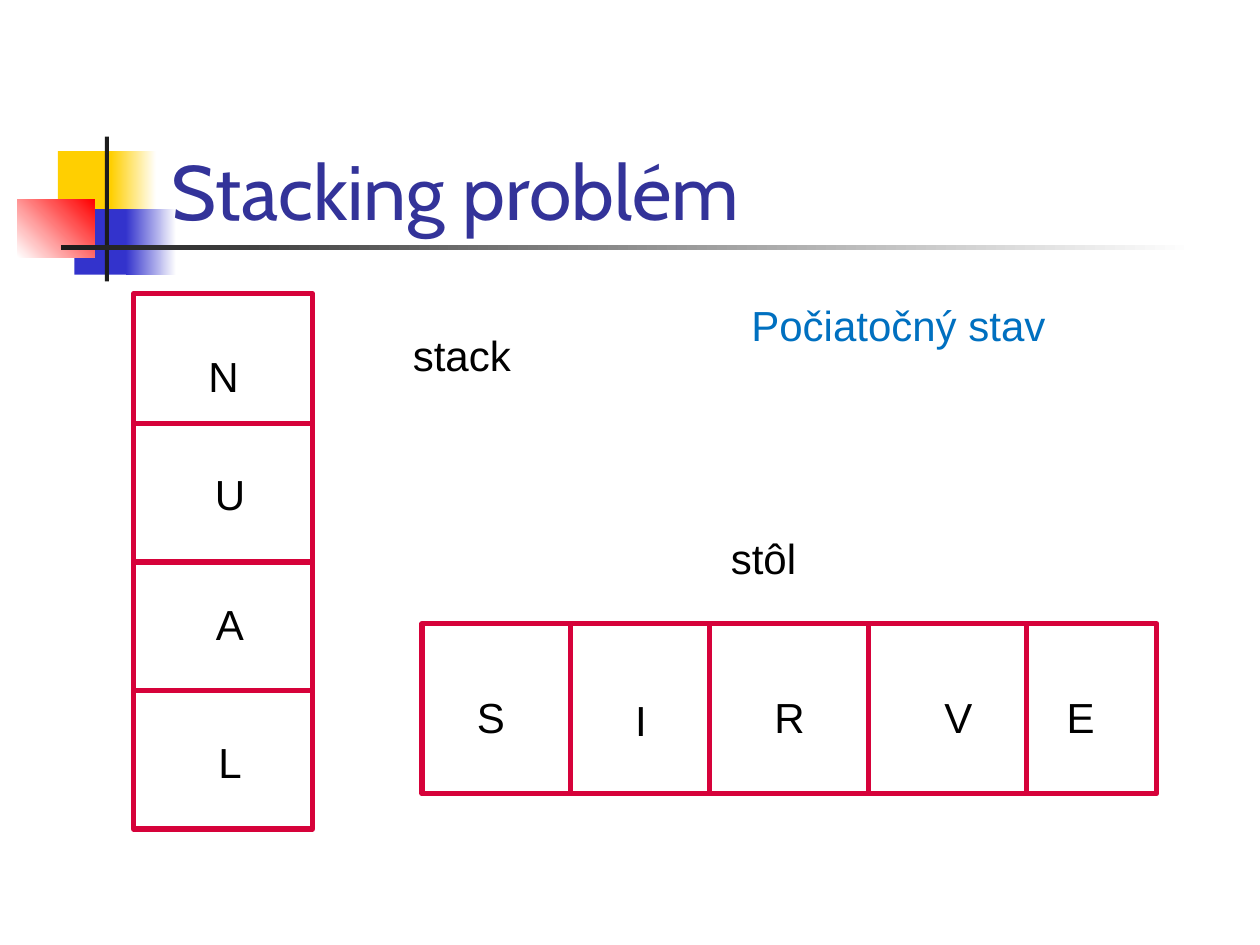
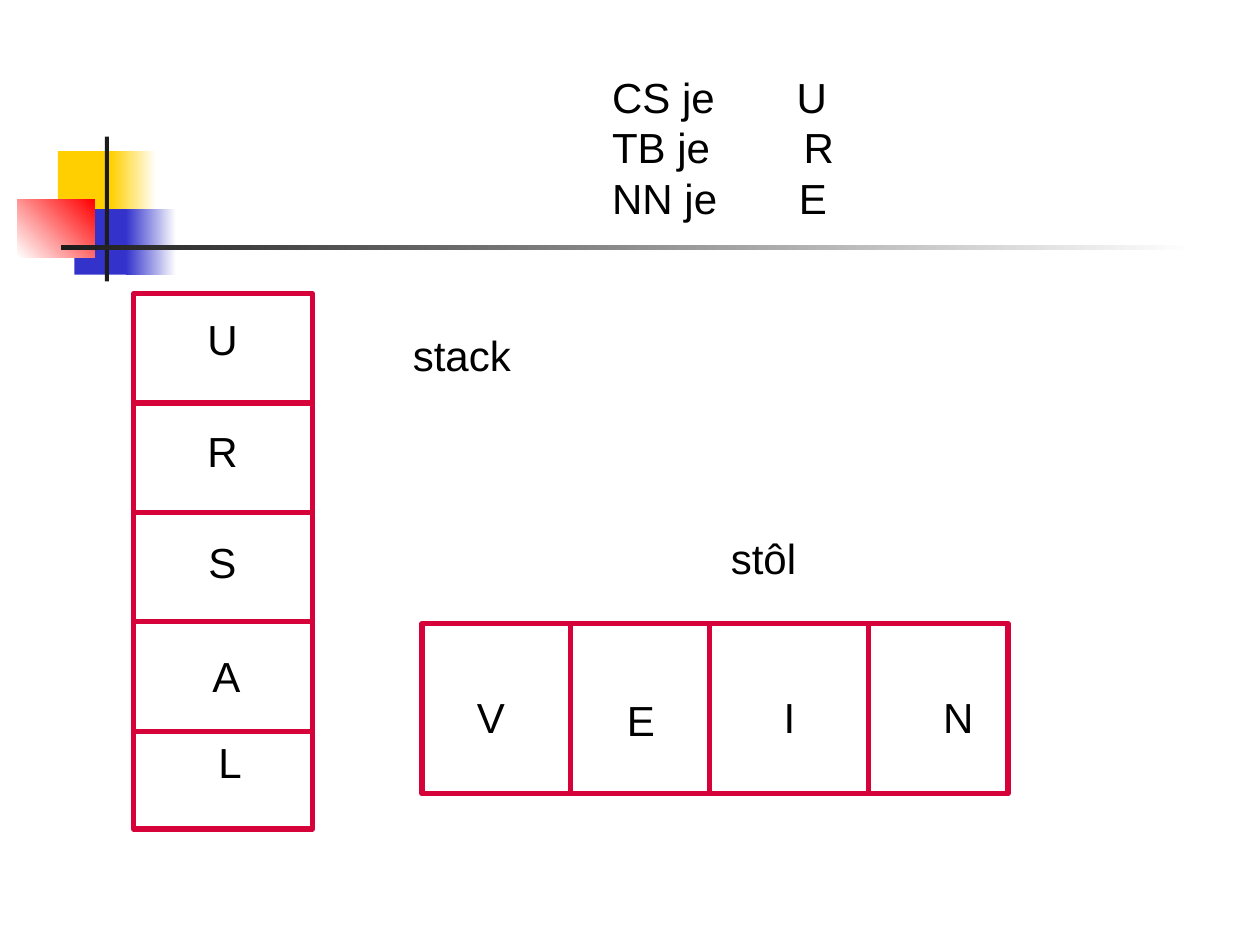
from lxml import etree
from pptx import Presentation
from pptx.dml.color import RGBColor
from pptx.enum.shapes import MSO_CONNECTOR as Connector, MSO_SHAPE as Preset
from pptx.enum.text import MSO_ANCHOR as Anchor, MSO_AUTO_SIZE as AutoSize, PP_ALIGN as Align
from pptx.oxml.ns import qn
from pptx.util import Pt

COLORS = {
    "yellow": "FFCF01", "blue": "3333CC", "red": "FF0000", "dark": "1C1C1C",
    "white": "FFFFFF", "title": "333399", "frame": "D6023A",
    "text": "000000", "note": "0070C0",
}
BODY = {"name": "Arial", "size": Pt(24)}
TITLE = {"name": "Cabin", "size": Pt(44)}
LABEL_SIZE = (57, 36)
FRAME_WIDTH = 3

# Boxes are left, top, width, height in points
TITLE_BOX = (90.7, 48.2, 613.4, 90)
STACK_BOX = (76.3, 167.8, 102.2, 306)
STACK_LABEL_BOX = (201.6, 185, 124.6, 36)
TABLE_LABEL_BOX = (342.7, 301, 187.2, 36)
STATE_BOX = (365.8, 167.8, 295.2, 36)
SUMMARY_BOX = (342.7, 37.4, 329, 93.6)
TABLE_LEFT, TABLE_TOP, TABLE_HEIGHT = 241.2, 356.4, 97.2
TABLE_DIVIDERS = (85, 164.2, 254.9, 345.6)
TABLE_LABELS = ((10.8, 35.3), (96.5, 36.7), (181.4, 35.3), (277.9, 35.3), (347.8, 35.3))

# Band parts: box, first colour, second colour of a gradient, angle
BAND_PARTS = (
    ((33.1, 86.4, 34.6, 37.4), "yellow", None, 0),
    ((63.4, 86.4, 25.9, 37.4), "yellow", "white", 0),
    ((42.5, 119.5, 33.1, 37.4), "blue", None, 0),
    ((72, 119.5, 28.8, 37.4), "blue", "white", 0),
    ((10, 113.8, 44, 33.1), "white", "red", 45),
    ((59.9, 78, 2.4, 82.8), "dark", None, 0),
    ((34.6, 140.2, 648, 2.6), "dark", "white", 0),
)


def color(name):
    return RGBColor.from_string(COLORS[name])


def points(values):
    return [Pt(value) for value in values]


def style(font, formats, color_name):
    for name, value in formats.items():
        setattr(font, name, value)
    font.color.rgb = color(color_name)


def add_rectangle(slide, box):
    shape = slide.shapes.add_shape(Preset.RECTANGLE, *points(box))
    shape.shadow.inherit = False
    return shape


def add_band(slide):
    """Coloured squares and rules beside the title."""
    for box, first, second, angle in BAND_PARTS:
        shape = add_rectangle(slide, box)
        shape.line.fill.background()
        if second is None:
            shape.fill.solid()
            shape.fill.fore_color.rgb = color(first)
            continue
        shape.fill.gradient()
        shape.fill.gradient_angle = angle
        for stop, name in zip(shape.fill.gradient_stops, (first, second)):
            stop.color.rgb = color(name)


def add_title(slide, text):
    title = slide.shapes.title
    slide.shapes.element.append(title.element)  # in front of the band
    title.left, title.top, title.width, title.height = points(TITLE_BOX)
    frame = title.text_frame
    frame.text = text
    frame.auto_size = AutoSize.NONE
    frame.vertical_anchor = Anchor.BOTTOM
    paragraph = frame.paragraphs[0]
    paragraph.alignment = Align.LEFT
    style(paragraph.font, TITLE, "title")


def add_label(slide, box, text, color_name="text", alignment=Align.CENTER):
    frame = slide.shapes.add_textbox(*points(box)).text_frame
    frame.word_wrap = True
    frame.auto_size = AutoSize.SHAPE_TO_FIT_TEXT
    frame.text = text
    for paragraph in frame.paragraphs:
        paragraph.alignment = alignment
        style(paragraph.font, BODY, color_name)
    return frame


def add_divider(slide, start, end):
    line = slide.shapes.add_connector(Connector.STRAIGHT, *points(start + end))
    line.line.color.rgb = color("frame")
    line.line.width = Pt(FRAME_WIDTH)
    etree.SubElement(line.element.spPr, qn("a:effectLst"))


def add_blocks(slide, box, dividers, letters, offsets, vertical):
    """A framed row or column of letter blocks, placed from the box's corner."""
    left, top, width, height = box
    frame = add_rectangle(slide, box)
    frame.fill.background()
    frame.line.color.rgb = color("frame")
    frame.line.width = Pt(FRAME_WIDTH)
    for distance in dividers:
        if vertical:
            add_divider(slide, (left, top + distance), (left + width, top + distance))
        else:
            add_divider(slide, (left + distance, top), (left + distance, top + height))
    for letter, (across, down) in zip(letters, offsets):
        add_label(slide, (left + across, top + down, *LABEL_SIZE), letter)


def add_stack(slide, letters, dividers, offsets):
    add_blocks(slide, STACK_BOX, dividers, letters, offsets, vertical=True)
    add_label(slide, STACK_LABEL_BOX, "stack")


def add_table_row(slide, letters, width):
    box = (TABLE_LEFT, TABLE_TOP, width, TABLE_HEIGHT)
    dividers = TABLE_DIVIDERS[:len(letters) - 1]
    add_blocks(slide, box, dividers, letters, TABLE_LABELS, vertical=False)
    add_label(slide, TABLE_LABEL_BOX, "stôl")


def add_summary(slide, rows):
    """Names and values, each value set at its own tab stop."""
    text = "\n".join(f"{name}\t{value}" for name, value, _ in rows)
    frame = add_label(slide, SUMMARY_BOX, text, alignment=Align.LEFT)
    for paragraph, (_, _, position) in zip(frame.paragraphs, rows):
        tabs = etree.Element(qn("a:tabLst"))
        etree.SubElement(tabs, qn("a:tab"), pos=str(Pt(position)), algn="l")
        paragraph.font  # the tab list goes before the default run properties
        properties = paragraph._p.get_or_add_pPr()
        properties.find(qn("a:defRPr")).addprevious(tabs)


def build_initial_state(presentation):
    slide = presentation.slides.add_slide(presentation.slide_layouts[5])
    add_band(slide)
    add_title(slide, "Stacking problém")
    add_stack(slide, "NUAL", (74.2, 153.4, 226.8),
              ((23, 28.8), (26.6, 96.5), (26.6, 170.6), (26.6, 249.8)))
    add_table_row(slide, "SIRVE", 419.8)
    add_label(slide, STATE_BOX, "Počiatočný stav", "note")


def build_later_state(presentation):
    slide = presentation.slides.add_slide(presentation.slide_layouts[6])
    add_band(slide)
    add_stack(slide, "URSAL", [62.5 * step for step in range(1, 5)],
              ((22.3, 7.9), (22.3, 72), (22.3, 135.4), (24.5, 200.2), (26.6, 249.8)))
    add_table_row(slide, "VEIN", 334.8)
    add_summary(slide, (("CS je", "U", 105.4), ("TB je", "R", 109.4), ("NN je", "E", 106.7)))


def main():
    presentation = Presentation()
    presentation.slide_width, presentation.slide_height = Pt(720), Pt(540)
    build_initial_state(presentation)
    build_later_state(presentation)
    presentation.save("out.pptx")


if __name__ == "__main__":
    main()
